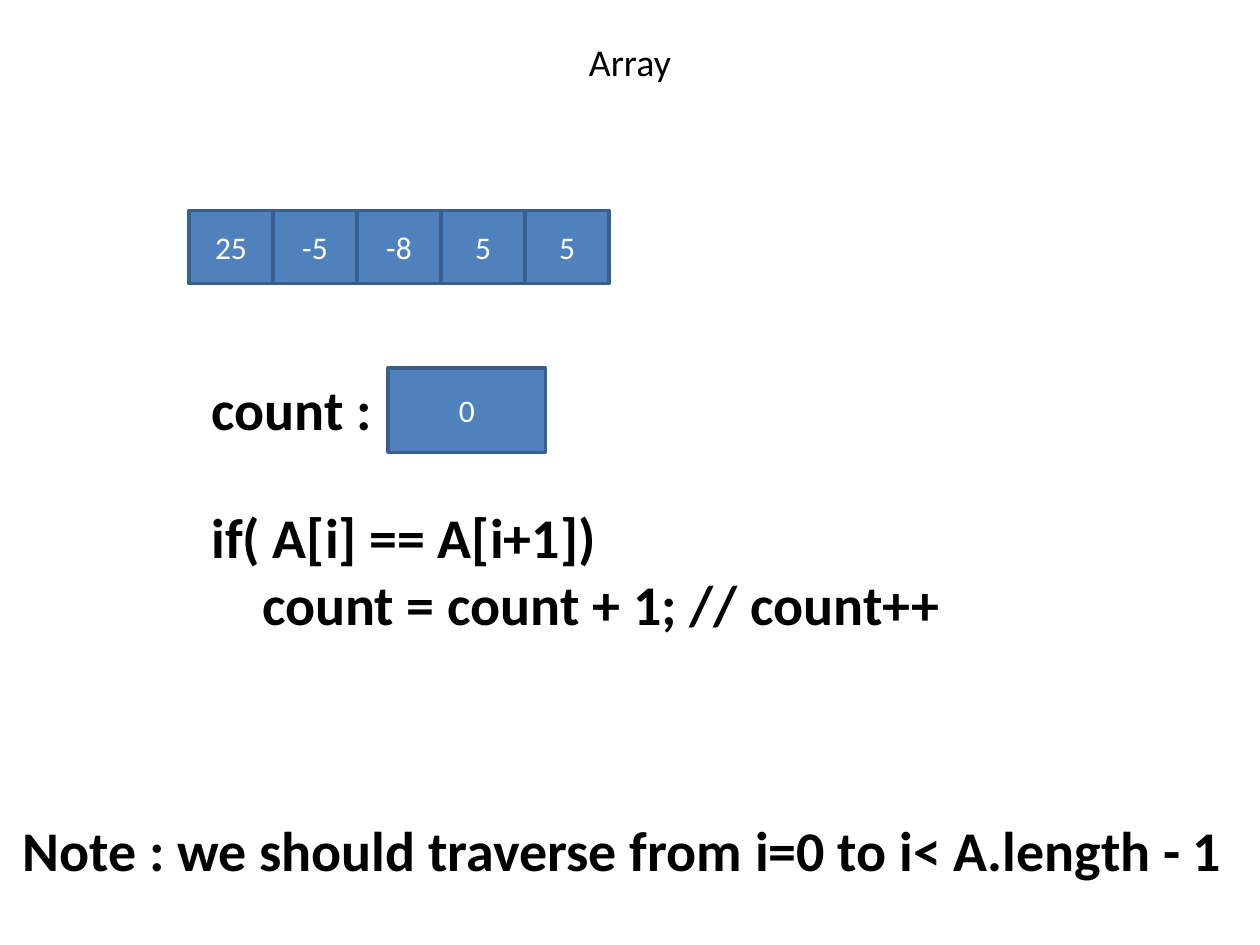
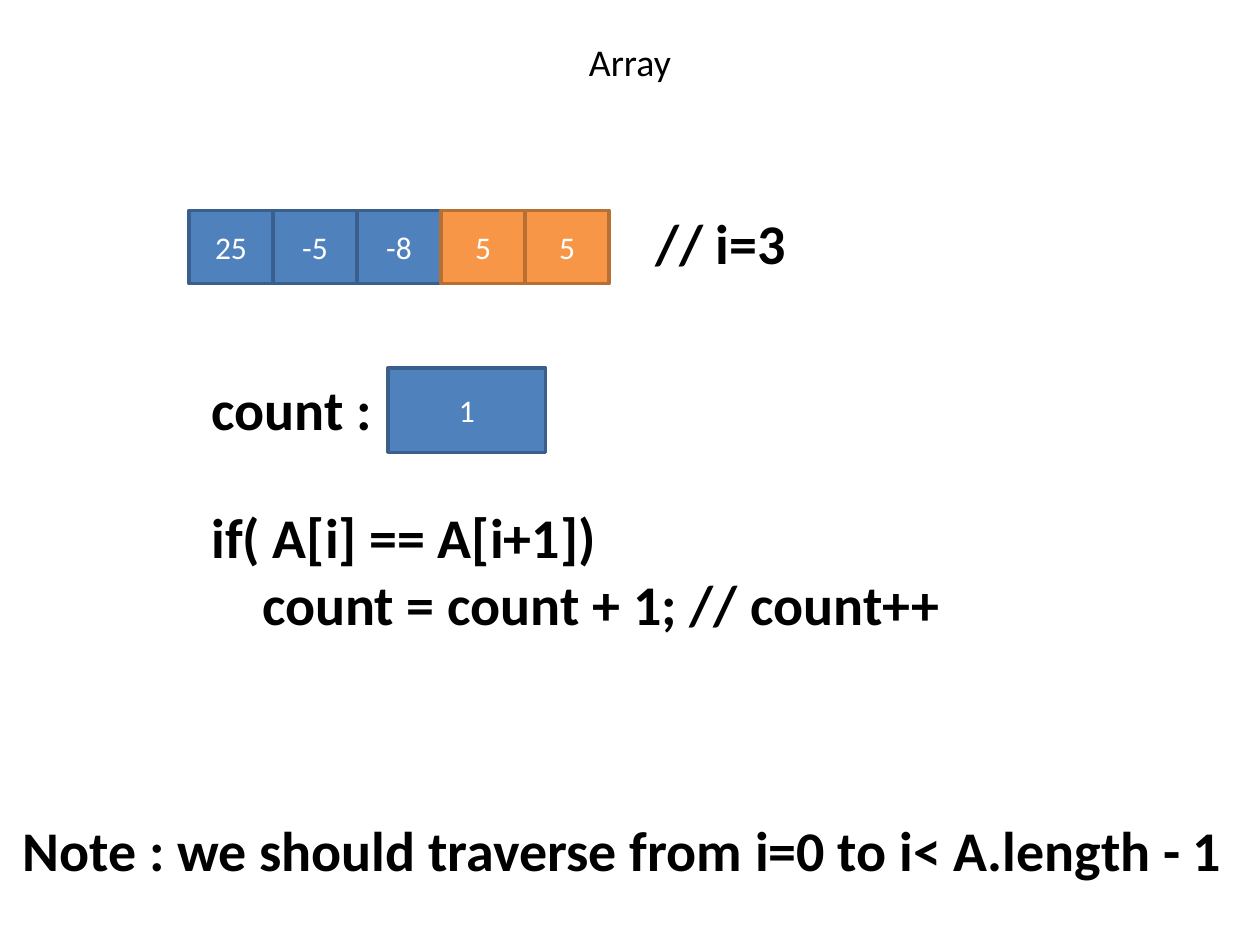
from pptx import Presentation
from pptx.dml.color import RGBColor
from pptx.enum.shapes import MSO_SHAPE
from pptx.enum.text import MSO_ANCHOR, PP_ALIGN
from pptx.util import Inches, Pt

FONT = "Calibri"
BLACK = RGBColor(0x00, 0x00, 0x00)
WHITE = RGBColor(0xFF, 0xFF, 0xFF)
BLUE = (RGBColor(0x4F, 0x81, 0xBD), RGBColor(0x3A, 0x5F, 0x8C))
ORANGE = (RGBColor(0xF7, 0x96, 0x46), RGBColor(0xB7, 0x6F, 0x34))

ITEMS = ["25", "-5", "-8", "5", "5"]
CODE = ["if( A[i] == A[i+1])", "    count = count + 1; // count++"]
NOTE = "Note : we should traverse from i=0 to i< A.length - 1"
CELL = 2 / 3


def style(para, text, size, color, bold=False, align=PP_ALIGN.LEFT):
    para.text = text
    para.alignment = align
    font = para.font
    font.name, font.size, font.bold = FONT, Pt(size), bold
    font.color.rgb = color


def add_title(slide, text):
    box = slide.shapes.add_textbox(Inches(0.5), Inches(0.3), Inches(9), Inches(0.37))
    frame = box.text_frame
    frame.word_wrap = True
    frame.vertical_anchor = MSO_ANCHOR.MIDDLE
    style(frame.paragraphs[0], text, 21.6, BLACK, align=PP_ALIGN.CENTER)


def add_label(slide, lines, left, top, width, height=0.64):
    box = slide.shapes.add_textbox(Inches(left), Inches(top), Inches(width), Inches(height))
    frame = box.text_frame
    frame.word_wrap = False
    for index, line in enumerate(lines):
        para = frame.add_paragraph() if index else frame.paragraphs[0]
        style(para, line, 32, BLACK, bold=True)


def add_cell(slide, text, left, top, width, height, tone=BLUE):
    cell = slide.shapes.add_shape(
        MSO_SHAPE.RECTANGLE, Inches(left), Inches(top), Inches(width), Inches(height))
    cell.shadow.inherit = False
    fill, edge = tone
    cell.fill.solid()
    cell.fill.fore_color.rgb = fill
    cell.line.color.rgb = edge
    cell.line.width = Pt(2)
    frame = cell.text_frame
    frame.vertical_anchor = MSO_ANCHOR.MIDDLE
    style(frame.paragraphs[0], text, 18, WHITE, align=PP_ALIGN.CENTER)


def add_array(slide, items, active):
    for index, item in enumerate(items):
        tone = ORANGE if index in active else BLUE
        add_cell(slide, item, 1.5 + index * CELL, 1.67, CELL, 0.58, tone)


def add_step(deck, count, active=()):
    slide = deck.slides.add_slide(deck.slide_layouts[6])
    add_title(slide, "Array")
    add_array(slide, ITEMS, active)
    add_cell(slide, count, 3.08, 2.92, 1.25, 0.67)
    add_label(slide, ["count :"], 1.58, 2.92, 1.49)
    add_label(slide, CODE, 1.58, 3.94, 6.04, 1.18)
    add_label(slide, [NOTE], 0.08, 6.42, 9.82)
    return slide


def main():
    deck = Presentation()
    deck.slide_width, deck.slide_height = Inches(10), Inches(7.5)
    add_step(deck, "0")
    match = add_step(deck, "1", active=(3, 4))
    add_label(match, ["// i=3"], 5.1, 1.61, 1.25)
    deck.save("out.pptx")


if __name__ == "__main__":
    main()
